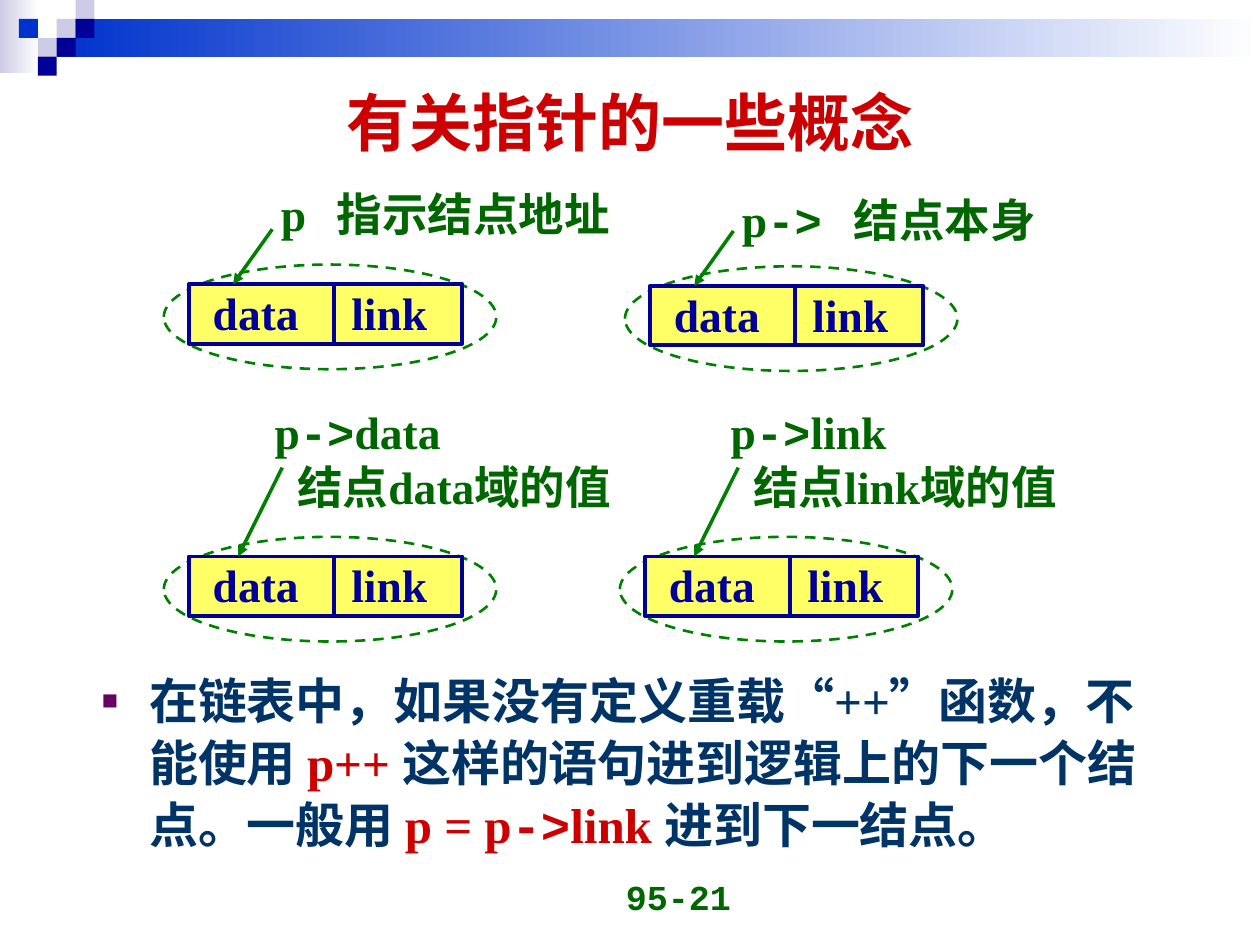
import pptx
import pptx.util
import pptx.dml.color
import pptx.enum.dml
import pptx.enum.shapes
import pptx.enum.text
import pptx.oxml.ns
import lxml.etree

Pt = pptx.util.Pt
qn = pptx.oxml.ns.qn
rgb = pptx.dml.color.RGBColor.from_string
SHAPE = pptx.enum.shapes.MSO_SHAPE
ALIGN = pptx.enum.text.PP_ALIGN
ANCHOR = pptx.enum.text.MSO_ANCHOR
SERIF, MONO, CJK = "Times New Roman", "Courier New", "Noto Sans CJK SC"
NAVY, GREEN, RED, INK = "000099", "006600", "CC0000", "003366"


def write(paragraph, size, pieces):
    for words, font_name, colour in pieces:
        run = paragraph.add_run()
        run.text = words
        run.font.size = Pt(size)
        run.font.bold = True
        run.font.color.rgb = rgb(colour)
        run.font.name = font_name
        lxml.etree.SubElement(run.font._element, qn("a:ea"), typeface=CJK)


def draw_line(x1, y1, x2, y2, colour, width):
    line = slide.shapes.add_connector(
        pptx.enum.shapes.MSO_CONNECTOR.STRAIGHT, Pt(x1), Pt(y1), Pt(x2), Pt(y2))
    line.line.color.rgb = rgb(colour)
    line.line.width = Pt(width)
    lxml.etree.SubElement(line._element.spPr, qn("a:effectLst"))
    return line


deck = pptx.Presentation()
deck.slide_width, deck.slide_height = Pt(720), Pt(540)
slide = deck.slides.add_slide(deck.slide_layouts[1])

bands = [(0, 0, 22.3, 41.8, "CCCCE6"), (32.4, 10.8, 687.6, 21.6, "0033CC")]
for left, top, width, height, start in bands:
    band = slide.shapes.add_shape(SHAPE.RECTANGLE, Pt(left), Pt(top), Pt(width), Pt(height))
    band.shadow.inherit = False
    band.line.fill.background()
    band.fill.gradient()
    band.fill.gradient_angle = 0
    for stop, colour, position in zip(band.fill.gradient_stops, (start, "FFFFFF"), (0, 1)):
        stop.color.rgb = rgb(colour)
        stop.position = position

unit = 10.8
mosaic = [(3, 1, "CCCCE6"), (4, 0, "CCCCE6"), (4, 1, NAVY), (2, 2, "CCCCE6"),
          (1, 1, "0033CC"), (3, 2, NAVY), (2, 3, NAVY)]
for column, row, colour in mosaic:
    tile = slide.shapes.add_shape(
        SHAPE.RECTANGLE, Pt(column * unit), Pt(row * unit), Pt(unit), Pt(unit))
    tile.shadow.inherit = False
    tile.line.fill.background()
    tile.fill.solid()
    tile.fill.fore_color.rgb = rgb(colour)

title = slide.shapes.title
title.left, title.top, title.width, title.height = Pt(36), Pt(36), Pt(648), Pt(67)
title.text_frame.auto_size = pptx.enum.text.MSO_AUTO_SIZE.NONE
title.text_frame.vertical_anchor = ANCHOR.MIDDLE
title.text_frame.paragraphs[0].alignment = ALIGN.CENTER
write(title.text_frame.paragraphs[0], 36, [("有关指针的一些概念", SERIF, RED)])

body = slide.placeholders[1]
body.left, body.top, body.width, body.height = Pt(51), Pt(378), Pt(626.5), Pt(124.5)
body.text_frame.auto_size = pptx.enum.text.MSO_AUTO_SIZE.NONE
advice = body.text_frame.paragraphs[0]
advice.line_spacing = 1.05
advice.space_before = Pt(0)
bullet = advice._p.get_or_add_pPr()
bullet.set("marL", str(Pt(27)))
bullet.set("indent", str(Pt(-27)))
bullet_colour = lxml.etree.SubElement(bullet, qn("a:buClr"))
lxml.etree.SubElement(bullet_colour, qn("a:srgbClr"), val="660066")
lxml.etree.SubElement(bullet, qn("a:buSzPct"), val="55000")
lxml.etree.SubElement(bullet, qn("a:buFont"), typeface="Arial")
lxml.etree.SubElement(bullet, qn("a:buChar"), char="■")
write(advice, 28, [
    ("在链表中，如果没有定义重载", "Arial", INK), ("“", CJK, INK), ("++", SERIF, INK),
    ("”", CJK, INK), ("函数，不能使用 ", SERIF, INK), ("p++ ", SERIF, RED),
    ("这样的语句进到逻辑上的下一个结点。一般用 ", SERIF, INK), ("p = p", SERIF, RED),
    ("->", MONO, RED), ("link ", SERIF, RED), ("进到下一结点。", SERIF, INK)])

pointer, arrow_sign = ("p", SERIF, GREEN), ("->", MONO, GREEN)
short_arrow = (62, -20.2, 39.6, 11.2)
long_arrow = (67.7, -39.6, 42.5, 11.2)
nodes = [
    (93.6, 151.2, short_arrow, (59.8, -48.2, 212, 39), 32,
     [[pointer, ("\t指示结点地址", SERIF, GREEN)]]),
    (357.1, 152.2, short_arrow, (59.8, -46.2, 192, 39), 64,
     [[pointer, arrow_sign, ("\t结点本身", SERIF, GREEN)]]),
    (93.6, 306.8, long_arrow, (56.2, -79.2, 225, 70), None,
     [[pointer, arrow_sign, ("data", SERIF, GREEN)], [("结点data域的值", SERIF, GREEN)]]),
    (354.2, 306.8, long_arrow, (56.2, -79.2, 219, 70), None,
     [[pointer, arrow_sign, ("link", SERIF, GREEN)], [("结点link域的值", SERIF, GREEN)]]),
]
captions = [(257, 491.8, 167.8, 36, 20, None, ALIGN.RIGHT, ANCHOR.BOTTOM,
             [[("95-21", MONO, GREEN)]])]
for x, y, arrow, label, tab, lines in nodes:
    halo = slide.shapes.add_shape(SHAPE.OVAL, Pt(x), Pt(y), Pt(190), Pt(59.8))
    halo.shadow.inherit = False
    halo.fill.background()
    halo.line.color.rgb = rgb("008000")
    halo.line.width = Pt(1.5)
    halo.line.dash_style = pptx.enum.dml.MSO_LINE.DASH
    cell = slide.shapes.add_shape(
        SHAPE.RECTANGLE, Pt(x + 14.4), Pt(y + 11.2), Pt(156.2), Pt(34))
    cell.shadow.inherit = False
    cell.fill.solid()
    cell.fill.fore_color.rgb = rgb("FFFF66")
    cell.line.color.rgb = rgb(NAVY)
    cell.line.width = Pt(2.25)
    draw_line(x + 97.2, y + 11.2, x + 97.2, y + 45.2, NAVY, 2.25)
    x1, y1, x2, y2 = arrow
    pointing = draw_line(x + x1, y + y1, x + x2, y + y2, "008000", 2)
    lxml.etree.SubElement(pointing.line._get_or_add_ln(), qn("a:tailEnd"), type="triangle")
    for offset, field in ((20.9, "data"), (100.1, "link")):
        captions.append((x + offset, y + 8.2, 66, 39, 26, None, ALIGN.LEFT, ANCHOR.TOP,
                         [[(field, SERIF, NAVY)]]))
    dx, dy, width, height = label
    captions.append((x + dx, y + dy, width, height, 26, tab, ALIGN.LEFT, ANCHOR.TOP, lines))

for left, top, width, height, size, tab, align, anchor, lines in captions:
    caption = slide.shapes.add_textbox(Pt(left), Pt(top), Pt(width), Pt(height)).text_frame
    caption.word_wrap = True
    caption.vertical_anchor = anchor
    for index, pieces in enumerate(lines):
        paragraph = caption.add_paragraph() if index else caption.paragraphs[0]
        paragraph.alignment = align
        properties = paragraph._p.get_or_add_pPr()
        if index:
            properties.set("marL", str(Pt(13)))
        if tab:
            tabs = lxml.etree.SubElement(properties, qn("a:tabLst"))
            lxml.etree.SubElement(tabs, qn("a:tab"), pos=str(Pt(tab)), algn="l")
        write(paragraph, size, pieces)

deck.save("out.pptx")
